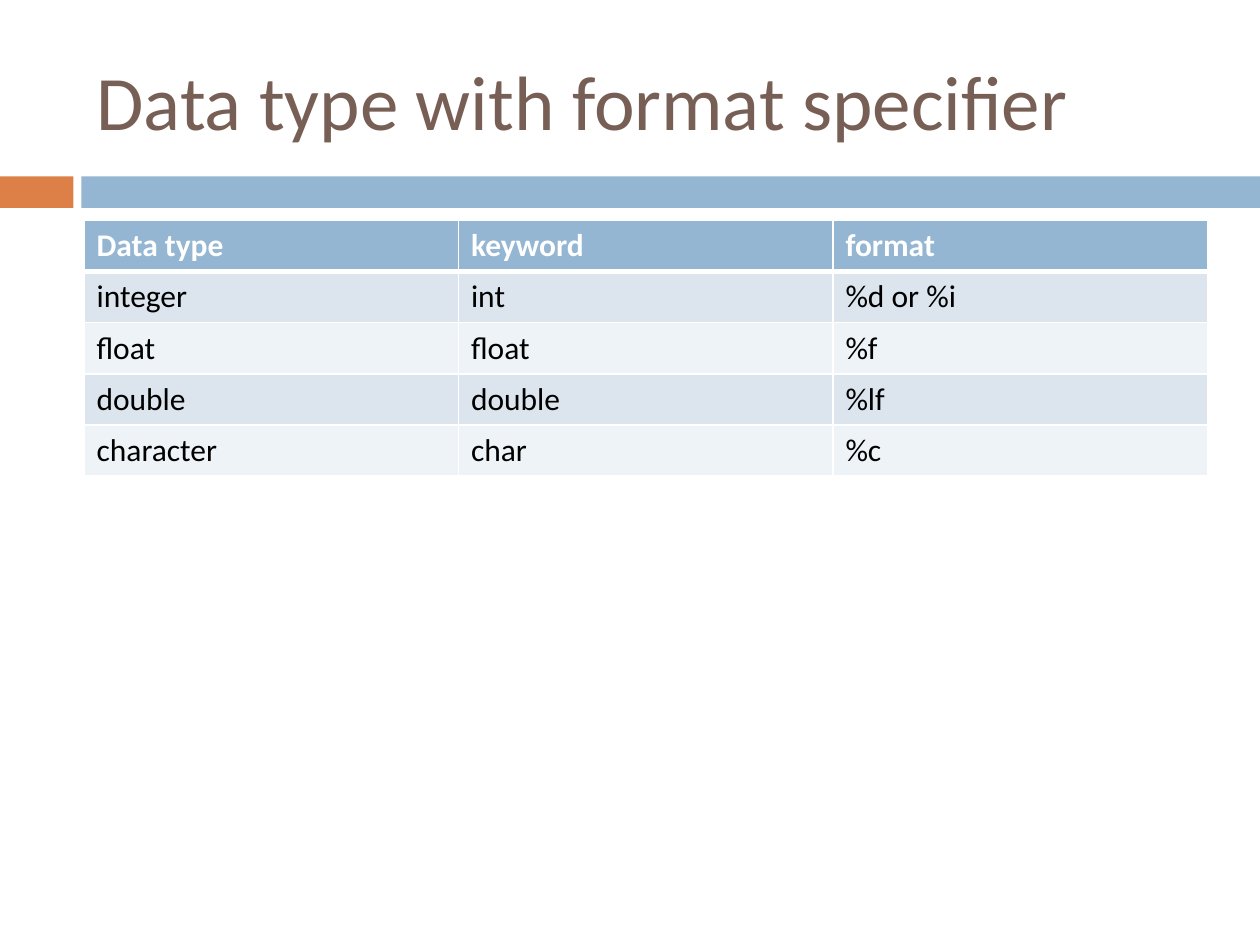
import enum
import lxml.etree
import pptx
import pptx.dml.color
import pptx.enum.shapes
import pptx.enum.text
import pptx.oxml.ns
import pptx.util

Pt = pptx.util.Pt


class Theme(enum.Enum):
    FONT = "Calibri"
    TITLE_SIZE = 44
    TABLE_SIZE = 18
    TITLE = "775F55"
    ORANGE = "DD8047"
    BLUE = "94B6D2"
    BAND_DARK = "DCE5EE"
    BAND_LIGHT = "EEF3F7"
    WHITE = "FFFFFF"
    BLACK = "000000"


def style_text(paragraph, size, color, bold=False):
    paragraph.alignment = pptx.enum.text.PP_ALIGN.LEFT
    font = paragraph.font
    font.name, font.size, font.bold = Theme.FONT.value, Pt(size.value), bold
    font.color.rgb = pptx.dml.color.RGBColor.from_string(color.value)


def add_border(cell, side, width):
    qn = pptx.oxml.ns.qn
    properties = cell._tc.get_or_add_tcPr()
    line = lxml.etree.SubElement(properties, qn(f"a:ln{side}"), w=str(Pt(width)))
    fill = lxml.etree.SubElement(line, qn("a:solidFill"))
    lxml.etree.SubElement(fill, qn("a:srgbClr"), val=Theme.WHITE.value)


deck = pptx.Presentation()
deck.slide_width, deck.slide_height = Pt(720), Pt(540)
slide = deck.slides.add_slide(deck.slide_layouts[5])

# Bars under the title
for left, width, color in [(0, 42, Theme.ORANGE), (46.5, 673.5, Theme.BLUE)]:
    bar = slide.shapes.add_shape(
        pptx.enum.shapes.MSO_SHAPE.RECTANGLE, Pt(left), Pt(100.8), Pt(width), Pt(18))
    bar.shadow.inherit = False
    bar.fill.solid()
    bar.fill.fore_color.rgb = pptx.dml.color.RGBColor.from_string(color.value)
    bar.line.fill.background()

# Title
title = slide.shapes.title
title.left, title.top, title.width, title.height = Pt(48), Pt(18), Pt(642), Pt(78)
title.text_frame.text = "Data type with format specifier"
title.text_frame.vertical_anchor = pptx.enum.text.MSO_ANCHOR.MIDDLE
style_text(title.text_frame.paragraphs[0], Theme.TITLE_SIZE, Theme.TITLE)

# Table of types and specifiers
specifiers = [
    ("Data type", "keyword", "format"),
    ("integer", "int", "%d or %i"),
    ("float", "float", "%f"),
    ("double", "double", "%lf"),
    ("character", "char", "%c"),
]
table = slide.shapes.add_table(
    len(specifiers), 3, Pt(48), Pt(126), Pt(642), Pt(146)).table

for row, entries in enumerate(specifiers):
    header = row == 0
    band = Theme.BLUE if header else Theme.BAND_DARK if row % 2 else Theme.BAND_LIGHT
    text_color = Theme.WHITE if header else Theme.BLACK
    top, bottom = 3 if row == 1 else 1, 3 if header else 1
    for column, entry in enumerate(entries):
        cell = table.cell(row, column)
        cell.text = entry
        style_text(cell.text_frame.paragraphs[0], Theme.TABLE_SIZE, text_color, header)
        for side, width in [("L", 1), ("R", 1), ("T", top), ("B", bottom)]:
            add_border(cell, side, width)
        cell.fill.solid()
        cell.fill.fore_color.rgb = pptx.dml.color.RGBColor.from_string(band.value)

deck.save("out.pptx")
